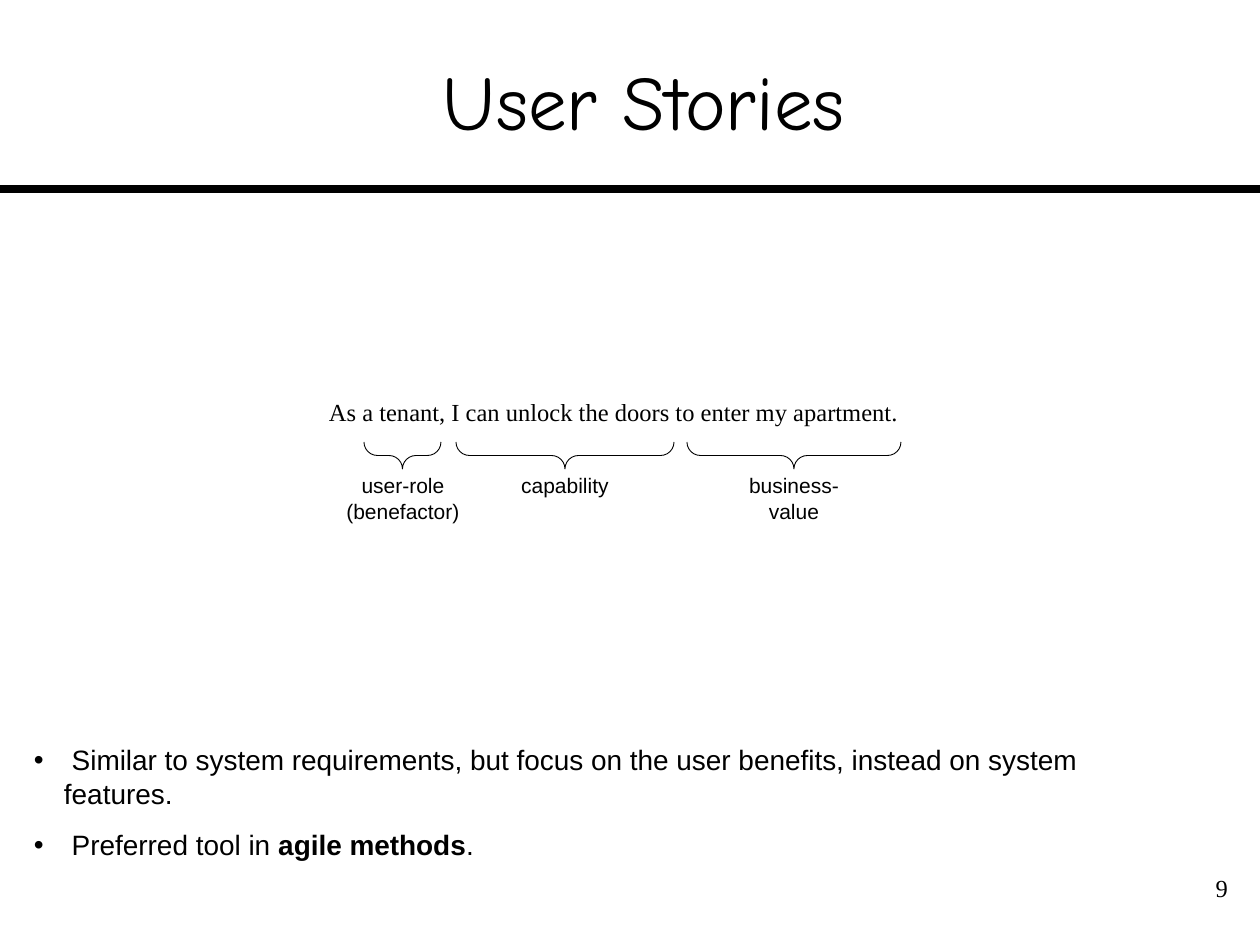
"""Build the User Stories slide with its annotated example sentence."""
from dataclasses import dataclass
from lxml.etree import SubElement
from pptx import Presentation
from pptx.dml.color import RGBColor as RGB
from pptx.enum.shapes import MSO_CONNECTOR as Conn, MSO_SHAPE as Kind
from pptx.enum.text import MSO_ANCHOR as Anchor, PP_ALIGN as Align
from pptx.oxml.ns import qn
from pptx.util import Pt

SCALE = 914400 / 126


def px(n):
    return round(n * SCALE)


@dataclass(frozen=True)
class Theme:
    ink: RGB = RGB(0, 0, 0)
    sans: str = "Arial"
    serif: str = "Times New Roman"
    hand: str = "Comic Neue"
    title: int = 44
    body: int = 16
    quote: int = 14
    label: int = 12
    rule: float = 4.5
    hair: float = 0.5


def apply(obj, **form):
    for key, val in form.items():
        setattr(obj, key, val)


class Deck:
    def __init__(self, theme):
        self.theme = theme
        self.prs = Presentation()
        apply(self.prs, slide_width=px(1260), slide_height=px(945))
        self.slide = self.prs.slides.add_slide(self.prs.slide_layouts[6])

    def text(self, box, paras, font, size, align=Align.LEFT, pad=(0, 0),
             wrap=True, anchor=Anchor.TOP):
        frame = self.slide.shapes.add_textbox(*map(px, box)).text_frame
        side, top = map(px, pad)
        apply(frame, word_wrap=wrap, vertical_anchor=anchor, margin_left=side,
              margin_right=side, margin_top=top, margin_bottom=top)
        for i, runs in enumerate(paras):
            para = frame.paragraphs[0] if i == 0 else frame.add_paragraph()
            para.alignment = align
            for words, bold in runs:
                run = para.add_run()
                run.text = words
                apply(run.font, name=font, size=Pt(size), bold=bold)
                run.font.color.rgb = self.theme.ink
        return frame

    def list(self, box, paras, hang):
        frame = self.text(box, paras, self.theme.sans, self.theme.body)
        for para in frame.paragraphs:
            para.space_before = Pt(10)
            props = para._p.get_or_add_pPr()
            props.set("marL", str(px(hang)))
            props.set("indent", str(-px(hang)))
            SubElement(props, qn("a:buFont"), typeface=self.theme.sans)
            SubElement(props, qn("a:buChar"), char="•")

    def rule(self, y):
        line = self.slide.shapes.add_connector(
            Conn.STRAIGHT, 0, px(y), self.prs.slide_width, px(y))
        line.line.color.rgb = self.theme.ink
        line.line.width = Pt(self.theme.rule)
        SubElement(line._element.spPr, qn("a:effectLst"))

    def brace(self, left, right, top, depth):
        span = right - left
        box = ((left + right - depth) / 2, top + (depth - span) / 2, depth, span)
        shape = self.slide.shapes.add_shape(Kind.LEFT_BRACE, *map(px, box))
        shape.rotation = 270
        shape.adjustments[0] = 0.5
        shape.shadow.inherit = False
        shape.fill.background()
        shape.line.color.rgb = self.theme.ink
        shape.line.width = Pt(self.theme.hair)


def main():
    look = Theme()
    deck = Deck(look)
    deck.rule(189)
    deck.text((1167, 867, 74, 63), [[("9", False)]], look.serif, look.quote,
              Align.RIGHT, (13, 6))
    deck.text((53, 21, 1182, 158), [[("User Stories", False)]], look.hand,
              look.title, Align.CENTER, (0, 6), anchor=Anchor.MIDDLE)
    story = "As a tenant, I can unlock the doors to enter my apartment."
    deck.text((329, 391, 570, 43), [[(story, False)]], look.serif, look.quote,
              pad=(0, 6), wrap=False)
    parts = [
        (364, 441, 346, 114, ["user-role", "(benefactor)"]),
        (456, 674, 521, 88, ["capability"]),
        (687, 901, 724, 140, ["business-value"]),
    ]
    for left, right, x, wide, names in parts:
        deck.brace(left, right, 442, 27)
        deck.text((x, 473, wide, 26 * len(names) + 5),
                  [[(name, False)] for name in names], look.sans, look.label,
                  Align.CENTER, wrap=False)
    deck.list((34, 743, 1140, 118), [
        [(" Similar to system requirements, but focus on the user benefits, "
          "instead on system features.", False)],
        [(" Preferred tool in ", False), ("agile methods", True), (".", False)],
    ], 30)
    deck.prs.save("out.pptx")


if __name__ == "__main__":
    main()
